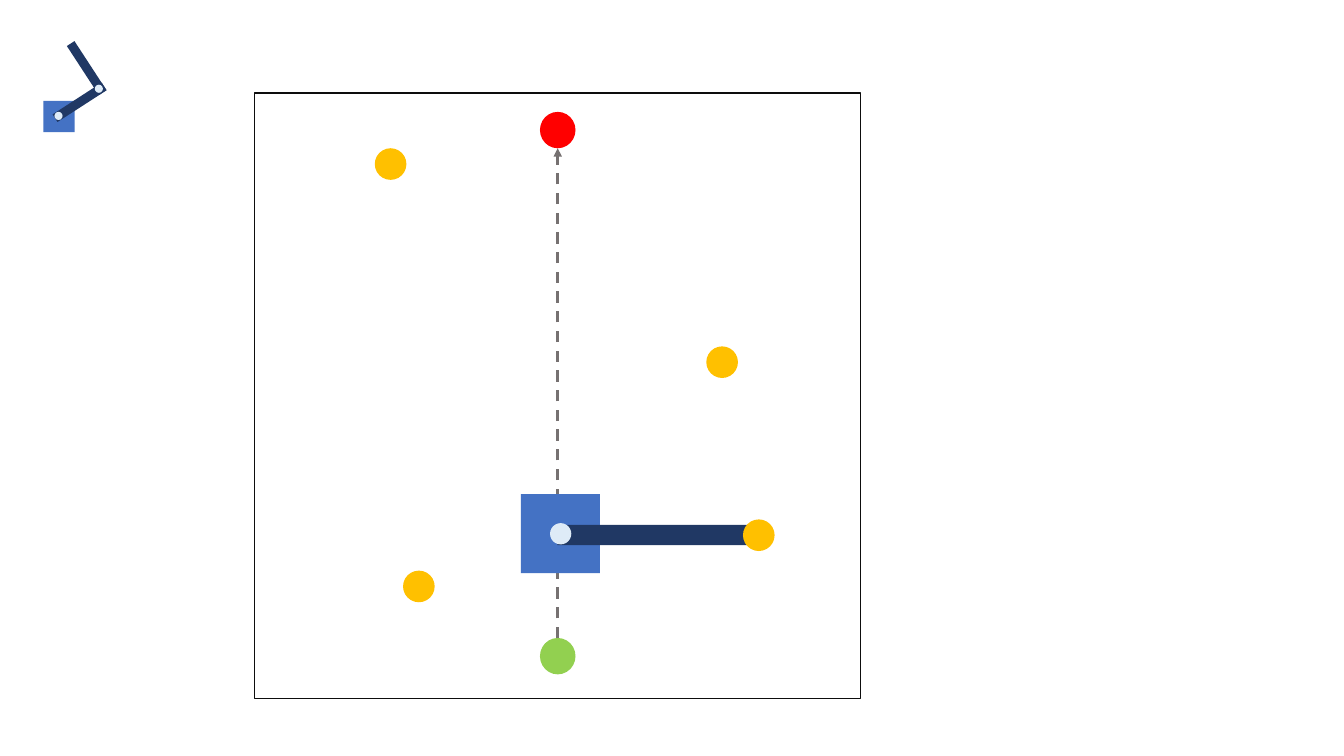
from lxml import etree
from pptx import Presentation
from pptx.dml.color import RGBColor
from pptx.enum import dml, shapes
from pptx.oxml import ns
from pptx.util import Pt

BLUE = RGBColor(0x44, 0x72, 0xC4)
NAVY = RGBColor(0x20, 0x38, 0x64)
PALE = RGBColor(0xDE, 0xEB, 0xF7)
BLACK = RGBColor(0x0D, 0x0D, 0x0D)
GREY = RGBColor(0x76, 0x71, 0x71)
RED = RGBColor(0xFF, 0x00, 0x00)
GREEN = RGBColor(0x92, 0xD0, 0x50)
AMBER = RGBColor(0xFF, 0xC0, 0x00)

RECT = shapes.MSO_SHAPE.RECTANGLE
OVAL = shapes.MSO_SHAPE.OVAL

PATH_X = 398.4
GOAL_Y, START_Y = 92.9, 468.7
MARKER_WIDTH, MARKER_HEIGHT = 25.4, 26
TARGET_SIZE = 22.6
TARGETS = [(299.2, 418.9), (515.8, 258.7), (542, 382.3), (279, 117.2)]


def add_solid(parent, kind, center, width, height, color, angle=0):
    """Add a filled shape without outline, placed by its centre."""
    x, y = center
    shape = parent.add_shape(kind, Pt(x - width / 2), Pt(y - height / 2),
                             Pt(width), Pt(height))
    shape.shadow.inherit = False
    shape.fill.solid()
    shape.fill.fore_color.rgb = color
    shape.line.fill.background()
    shape.rotation = angle
    return shape


def add_frame(parent, left, top, size):
    frame = parent.add_shape(RECT, Pt(left), Pt(top), Pt(size), Pt(size))
    frame.shadow.inherit = False
    frame.fill.background()
    frame.line.color.rgb = BLACK
    frame.line.width = Pt(1)


def add_dashed_arrow(parent, start, end):
    arrow = parent.add_connector(shapes.MSO_CONNECTOR.STRAIGHT,
                                 *map(Pt, start + end))
    arrow.line.color.rgb = GREY
    arrow.line.width = Pt(2)
    arrow.line.dash_style = dml.MSO_LINE.DASH
    properties = arrow.element.spPr
    head = etree.SubElement(properties.find(ns.qn("a:ln")), ns.qn("a:tailEnd"))
    head.set("type", "triangle")
    etree.SubElement(properties, ns.qn("a:effectLst"))


def add_folded_robot(parent):
    robot = parent.add_group_shape().shapes
    add_solid(robot, RECT, (42.1, 83.2), 22.3, 22.3, BLUE)
    add_solid(robot, RECT, (56.9, 73.1), 41.8, 6.5, NAVY, 327.1)
    add_solid(robot, OVAL, (41.8, 82.8), 5.8, 5.8, PALE)
    add_solid(robot, RECT, (61.9, 48.6), 41.8, 6.5, NAVY, 236.9)
    add_solid(robot, OVAL, (70.6, 63.4), 5.8, 5.8, PALE)


def add_reaching_robot(parent):
    add_solid(parent, RECT, (400.3, 381.2), 56.4, 56.4, BLUE)
    add_solid(parent, RECT, (472, 382.2), 147.6, 14.4, NAVY)
    add_solid(parent, OVAL, (400.5, 381.3), 15.2, 15.2, PALE)


def main():
    deck = Presentation()
    deck.slide_width, deck.slide_height = Pt(960), Pt(540)
    page = deck.slides.add_slide(deck.slide_layouts[6]).shapes

    # Robot with its arm folded
    add_folded_robot(page)

    # Arena and route from start to goal
    add_frame(page, 182, 66.4, 432.8)
    add_dashed_arrow(page, (PATH_X, START_Y - MARKER_HEIGHT / 2),
                     (PATH_X, GOAL_Y + MARKER_HEIGHT / 2))
    for y, color in ((GOAL_Y, RED), (START_Y, GREEN)):
        add_solid(page, OVAL, (PATH_X, y), MARKER_WIDTH, MARKER_HEIGHT, color)

    # Robot on the route, and the targets on top
    add_reaching_robot(page)
    for center in TARGETS:
        add_solid(page, OVAL, center, TARGET_SIZE, TARGET_SIZE, AMBER)

    deck.save("out.pptx")


if __name__ == "__main__":
    main()
